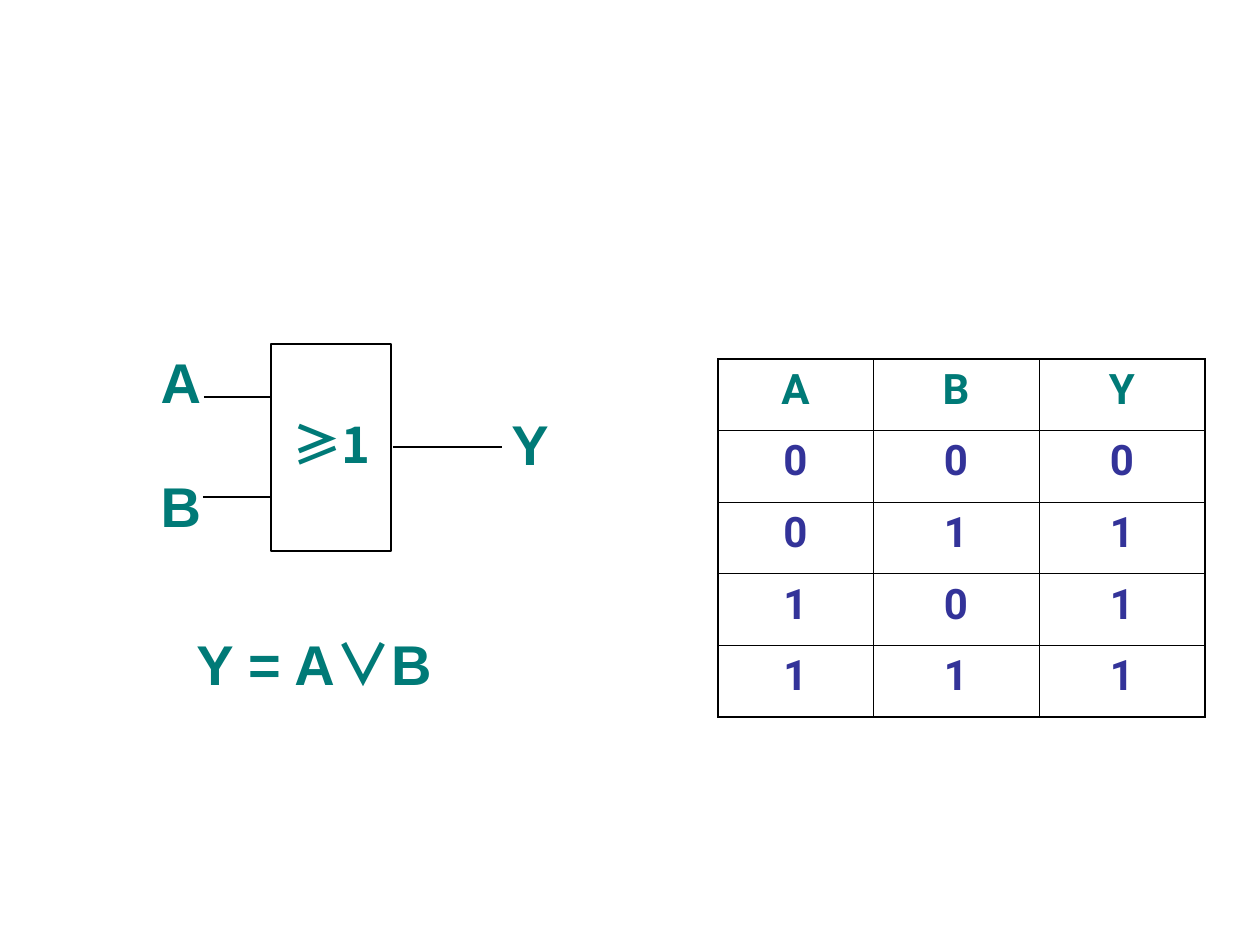
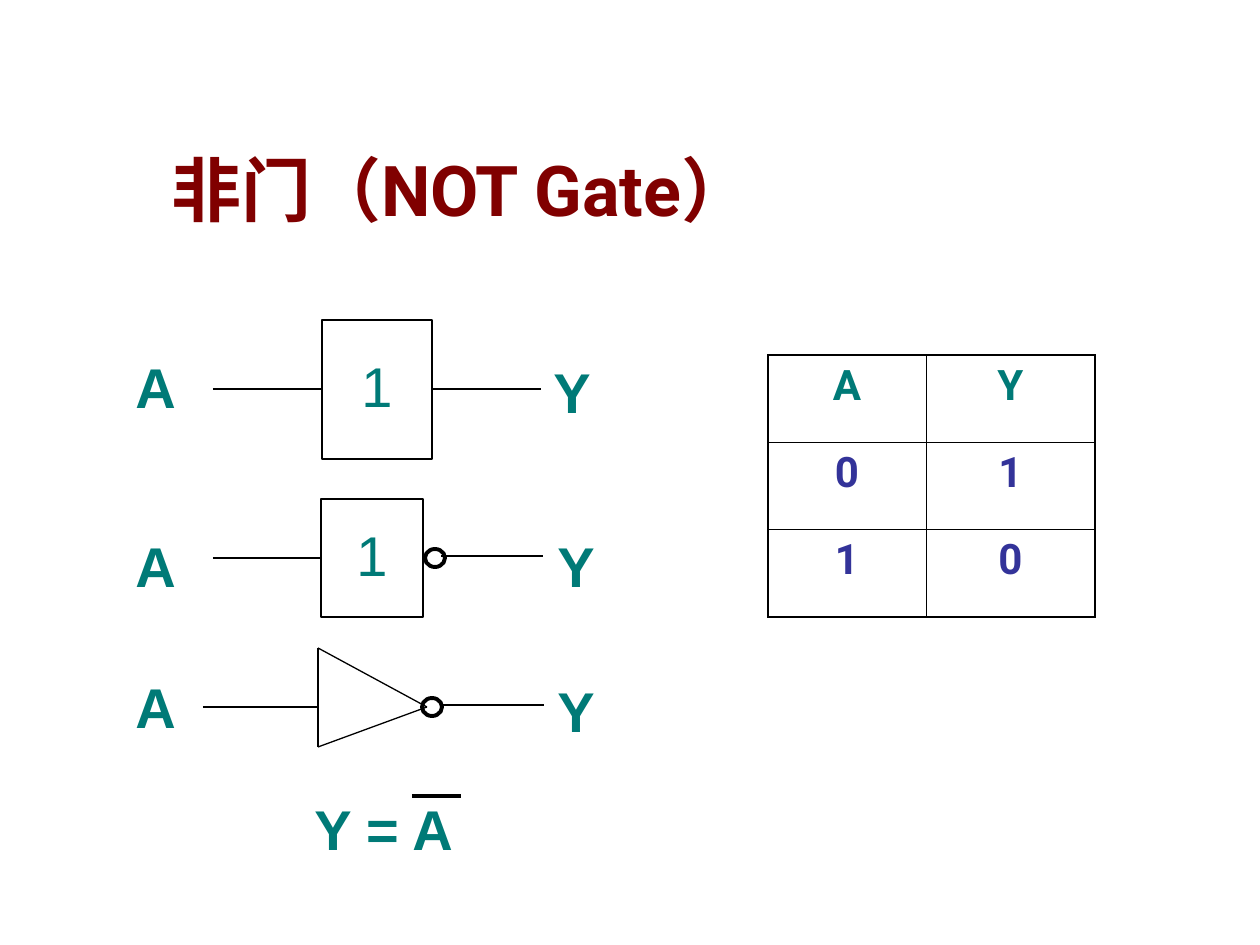
from itertools import product

from lxml import etree
from pptx import Presentation, util as u
from pptx.dml.color import RGBColor
from pptx.enum import shapes, text
from pptx.oxml.ns import qn

TEAL = RGBColor(0x00, 0x7A, 0x77)
NAVY = RGBColor(0x33, 0x33, 0x99)
MAROON = RGBColor(0x80, 0x00, 0x00)
BLACK = RGBColor(0, 0, 0)
ARIAL, ROBOTO, HAN = "Arial", "Roboto", "Noto Sans CJK SC"
LEFT, MID = text.PP_ALIGN.LEFT, text.PP_ALIGN.CENTER
THIN, THICK = 0.75, 2.25
INNER, OUTER = 0.45, 1.08
PX = u.Inches(1) / 126


def px(*nums):
    return [round(n * PX) for n in nums]


def style(para, size, face, tint, bold=True, align=LEFT, lead=None):
    para.alignment = align
    para.line_spacing = lead
    for run in para.runs:
        font = run.font
        font.size, font.bold = u.Pt(size), bold
        font.name = HAN if run.text == "∨" else face
        font.color.rgb = tint
        etree.SubElement(font._element, qn("a:ea"), typeface=HAN)


deck = Presentation()
deck.slide_width, deck.slide_height = px(1260, 945)
blank = deck.slide_layouts[6]
either = deck.slides.add_slide(blank)
invert = deck.slides.add_slide(blank)

# Title
box = invert.shapes.add_textbox(*px(159, 35, 1074, 202))
frame = box.text_frame
frame.word_wrap = True
frame.vertical_anchor = text.MSO_ANCHOR.BOTTOM
frame.text = "非门（NOT Gate）"
style(frame.paragraphs[0], 40, ROBOTO, MAROON)

# Gate bodies
for page, spot, sign, size, face, bold in [
    (either, (271, 344, 120, 207), "≥1", 28, HAN, True),
    (invert, (322, 320, 110, 139), "1", 32, ARIAL, False),
    (invert, (321, 499, 102, 118), "1", 32, ARIAL, False),
]:
    gate = page.shapes.add_shape(shapes.MSO_SHAPE.RECTANGLE, *px(*spot))
    gate.shadow.inherit = False
    gate.fill.background()
    gate.line.color.rgb, gate.line.width = BLACK, u.Pt(THIN)
    gate.text_frame.vertical_anchor = text.MSO_ANCHOR.MIDDLE
    gate.text_frame.text = sign
    style(gate.text_frame.paragraphs[0], size, face, TEAL, bold, MID, 0.9)

# Wires, the sides of the triangle and the bar over A
tip, top, foot = (427, 707), (318, 648), (318, 747)
for page, start, end, width in [
    (either, (204, 397), (270, 397), THIN),
    (either, (203, 497), (270, 497), THIN),
    (either, (393, 447), (502, 447), THIN),
    (invert, (213, 389), (322, 389), THIN),
    (invert, (432, 389), (541, 389), THIN),
    (invert, (213, 558), (321, 558), THIN),
    (invert, (441, 556), (543, 556), THIN),
    (invert, (203, 707), (318, 707), THIN),
    (invert, (441, 705), (544, 705), THIN),
    (invert, top, foot, THIN),
    (invert, top, tip, THIN),
    (invert, foot, tip, THIN),
    (invert, (412, 796), (461, 796), THICK),
]:
    wire = page.shapes.add_connector(
        shapes.MSO_CONNECTOR.STRAIGHT, *px(*start, *end))
    wire.line.color.rgb, wire.line.width = BLACK, u.Pt(width)
    etree.SubElement(wire._element.spPr, qn("a:effectLst"))

# Inverting rings
for x, y in [(425, 549), (422, 698)]:
    ring = invert.shapes.add_shape(shapes.MSO_SHAPE.OVAL, *px(x, y, 20, 18))
    ring.shadow.inherit = False
    ring.fill.background()
    ring.line.color.rgb, ring.line.width = BLACK, u.Pt(THICK)

# Pin names and formulas
for page, spot, words, align in [
    (either, (136, 349, 90, 169), ["A", "B"], MID),
    (either, (499, 411, 57, 69), ["Y"], LEFT),
    (either, (184, 631, 277, 73), ["Y = A∨B"], LEFT),
    (invert, (123, 354, 79, 73), ["A"], LEFT),
    (invert, (541, 359, 89, 73), ["Y"], LEFT),
    (invert, (123, 533, 66, 73), ["A"], LEFT),
    (invert, (545, 533, 66, 73), ["Y"], LEFT),
    (invert, (123, 674, 66, 73), ["A"], LEFT),
    (invert, (545, 678, 66, 73), ["Y"], LEFT),
    (invert, (302, 796, 179, 73), ["Y = A"], LEFT),
]:
    frame = page.shapes.add_textbox(*px(*spot)).text_frame
    frame.word_wrap = True
    for i, word in enumerate(words):
        para = frame.add_paragraph() if i else frame.paragraphs[0]
        head, sign, tail = word.partition("∨")
        for part in filter(None, (head, sign, tail)):
            para.add_run().text = part
        style(para, 32, ARIAL, TEAL, align=align, lead=0.9)
        if i:
            para.space_before = u.Pt(36)

# Truth tables
for page, spot, cols, rows in [
    (either, (718, 359, 487, 358), (155, 166, 166),
     ["ABY", "000", "011", "101", "111"]),
    (invert, (768, 355, 327, 262), (158, 169), ["AY", "01", "10"]),
]:
    high, wide = len(rows), len(cols)
    grid = page.shapes.add_table(high, wide, *px(*spot)).table
    grid.first_row = grid.horz_banding = False
    for col, width in zip(grid.columns, px(*cols)):
        col.width = width
    for r, c in product(range(high), range(wide)):
        cell = grid.cell(r, c)
        cell.fill.background()
        cell.text = rows[r][c]
        style(cell.text_frame.paragraphs[0], 24, ROBOTO,
              NAVY if r else TEAL, align=MID)
        edges = {"L": c == 0, "R": c == wide - 1,
                 "T": r == 0, "B": r == high - 1}
        props = cell._tc.get_or_add_tcPr()
        for i, (side, rim) in enumerate(edges.items()):
            width = u.Pt(OUTER if rim else INNER)
            edge = etree.Element(qn("a:ln" + side), w=str(width))
            fill = etree.SubElement(edge, qn("a:solidFill"))
            etree.SubElement(fill, qn("a:srgbClr"), val=str(BLACK))
            props.insert(i, edge)

deck.save("out.pptx")
